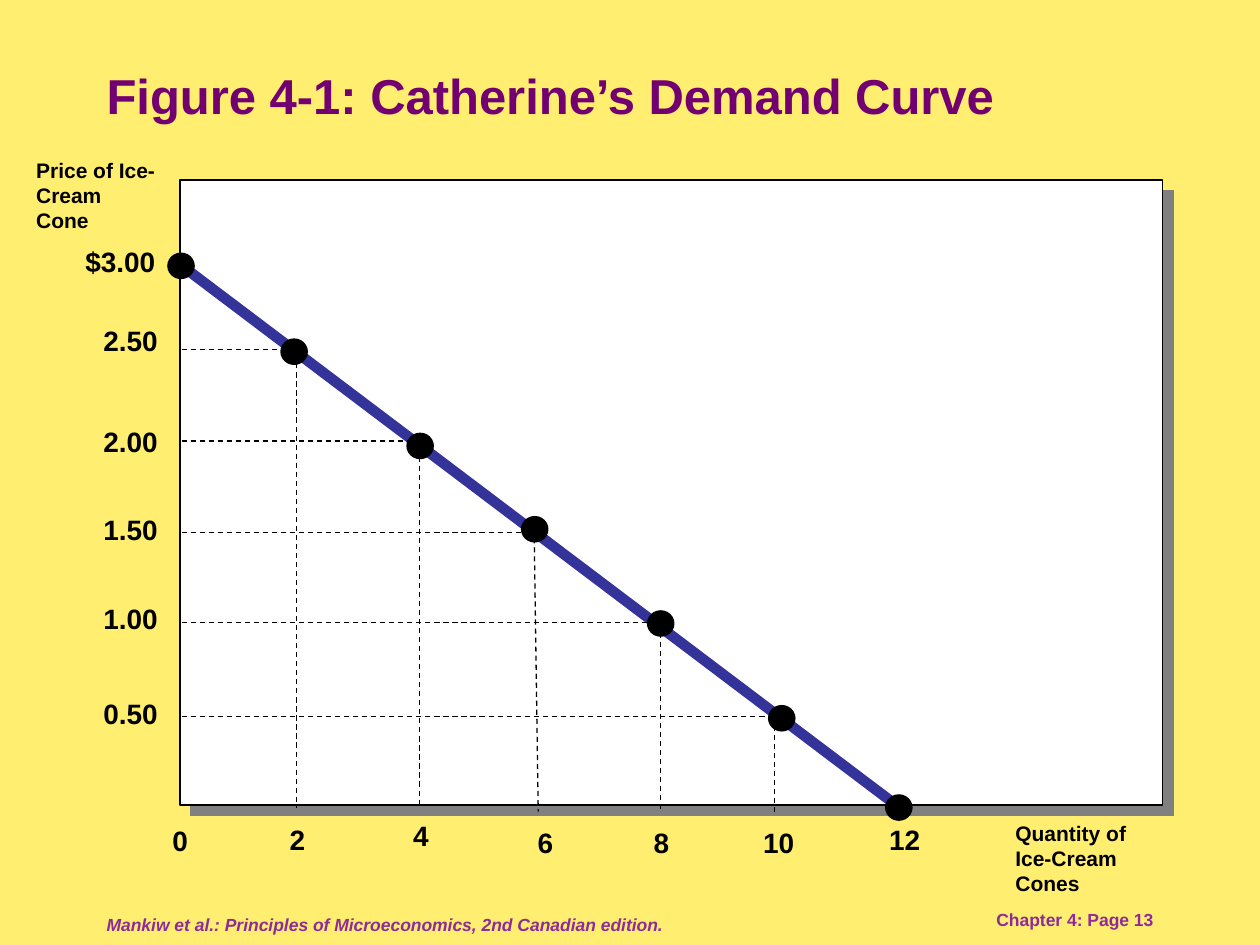
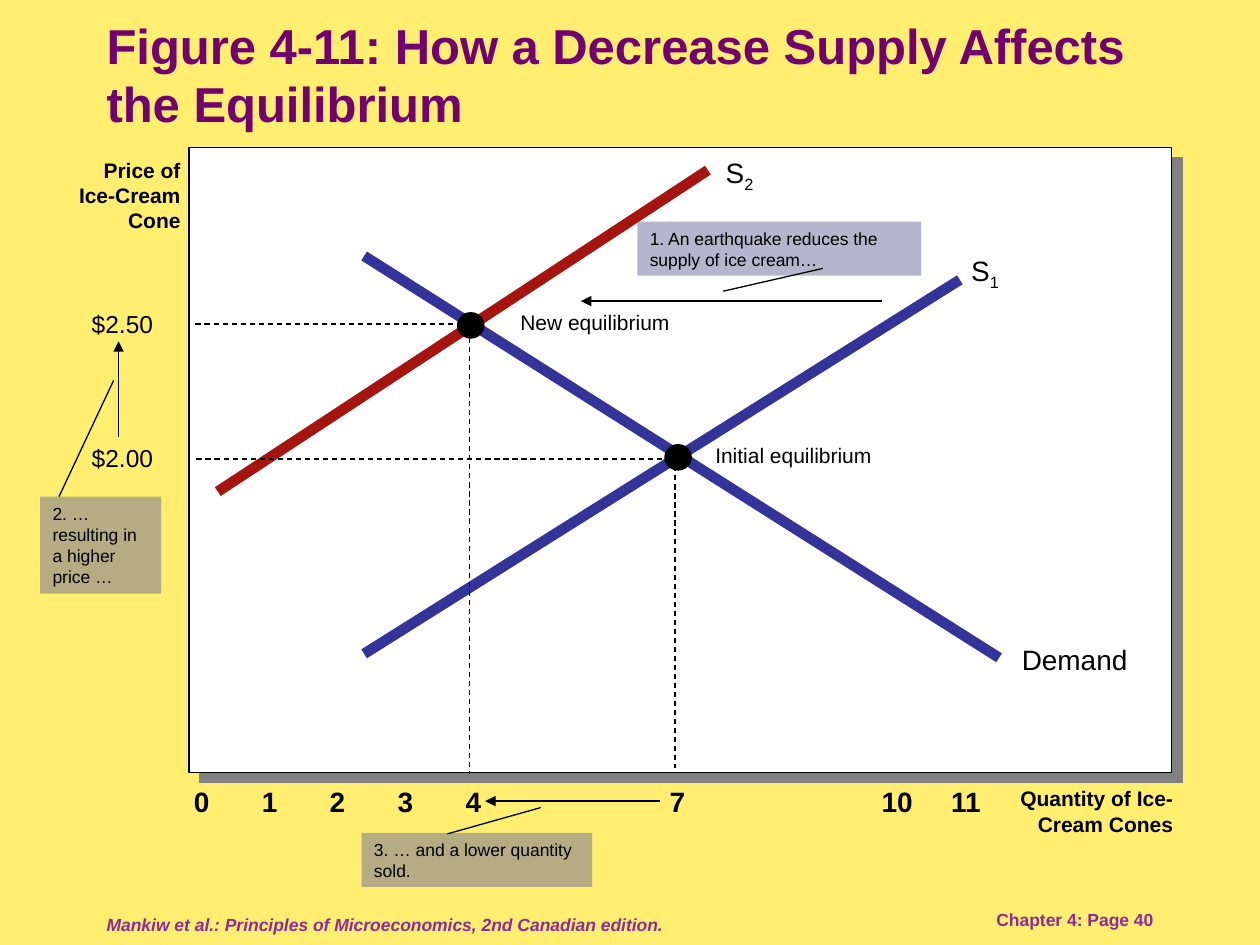
from lxml import etree
from pptx import Presentation
from pptx import util as u
from pptx.dml.color import RGBColor
from pptx.enum import dml, shapes, text
from pptx.oxml import ns

CREAM = RGBColor(0xFF, 0xEE, 0x70)
PLUM = RGBColor(0x72, 0x00, 0x70)
MAUVE = RGBColor(0x8F, 0x2B, 0x99)
BLACK = RGBColor(0, 0, 0)
WHITE = RGBColor(0xFF, 0xFF, 0xFF)
BLUE = RGBColor(0x33, 0x33, 0x99)
RED = RGBColor(0xA6, 0x14, 0x10)
SLATE = RGBColor(0x66, 0x66, 0x99)
GREY = RGBColor(0x80, 0x80, 0x80)
LEFT, RIGHT = text.PP_ALIGN.LEFT, text.PP_ALIGN.RIGHT
TOP, MID = text.MSO_ANCHOR.TOP, text.MSO_ANCHOR.MIDDLE
DOT_W, DOT_H = 0.53, 0.51


def write(page, words, box, size, color=BLACK, bold=False, italic=False,
          align=LEFT, anchor=TOP):
    """Add a text box; what follows "_" in words is set as a subscript."""
    label = page.shapes.add_textbox(*map(u.Cm, box))
    frame = label.text_frame
    frame.word_wrap = True
    frame.vertical_anchor = anchor
    para = frame.paragraphs[0]
    para.alignment = align
    for part, base in zip(words.split("_"), (None, "-25000")):
        run = para.add_run()
        run.text = part
        font = run.font
        font.name, font.size = "Arial", u.Pt(size)
        font.bold, font.italic = bold, italic
        font.color.rgb = color
        if base:
            run._r.get_or_add_rPr().set("baseline", base)
    return label


def draw(page, start, end, color=BLACK, width=0.75, dash=False, arrow=False):
    """Add a straight line, with points in cm."""
    line = page.shapes.add_connector(
        shapes.MSO_CONNECTOR.STRAIGHT, *map(u.Cm, (*start, *end)))
    line.line.color.rgb = color
    line.line.width = u.Pt(width)
    if dash:
        line.line.dash_style = dml.MSO_LINE.DASH
    if arrow:
        etree.SubElement(line.line._get_or_add_ln(), ns.qn("a:tailEnd"),
                         type="triangle")
    etree.SubElement(line._element.spPr, ns.qn("a:effectLst"))


deck = Presentation()
deck.slide_width, deck.slide_height = u.Cm(25.4), u.Cm(19.05)
fill = deck.slide_master.background.fill
fill.solid()
fill.fore_color.rgb = CREAM

# Shared frame: title, footers and the white plot panel with its shadow
pages = []
for title, title_y, number, panel_x, panel_y in (
        ("Figure 4-1: Catherine’s Demand Curve", 1.07, 13, 3.63, 3.63),
        ("Figure 4-11: How a Decrease Supply Affects the Equilibrium",
         0.64, 40, 3.81, 2.97)):
    page = deck.slides.add_slide(deck.slide_layouts[6])
    pages.append(page)
    write(page, "Mankiw et al.: Principles of Microeconomics, 2nd Canadian edition.",
          (1.9, 18.21, 15.04, 0.84), 10, MAUVE, bold=True, italic=True, anchor=MID)
    write(page, f"Chapter 4: Page {number}", (18.21, 18.21, 5.29, 0.64), 10,
          MAUVE, bold=True, align=RIGHT)
    write(page, title, (1.9, title_y, 21.59, 1.7), 28, PLUM, bold=True, anchor=MID)
    panel = page.shapes.add_shape(
        shapes.MSO_SHAPE.RECTANGLE, *map(u.Cm, (panel_x, panel_y, 19.81, 12.6)))
    panel.fill.solid()
    panel.fill.fore_color.rgb = WHITE
    panel.line.color.rgb = BLACK
    panel.line.width = u.Pt(0.75)
    panel.shadow.inherit = False
    effects = panel._element.spPr.find(ns.qn("a:effectLst"))
    shade = etree.SubElement(effects, ns.qn("a:outerShdw"), dist=str(u.Pt(8.5)),
                             dir="2700000", algn="ctr", rotWithShape="0")
    etree.SubElement(shade, ns.qn("a:srgbClr"), val=str(GREY))
demand, shift = pages

# Slide 1: one demand curve
write(demand, "Price of Ice-Cream Cone", (0.48, 3.05, 2.97, 1.78), 12, bold=True)
write(demand, "Quantity of Ice-Cream Cones", (20.22, 16.41, 3.43, 1.78), 12,
      bold=True)
draw(demand, (3.63, 5.33), (18.24, 16.36), BLUE, 6)

# Guides: end of the level line, then top and foot of the drop line
for end, level, top, foot in (
        (5.97, 7.04, (5.97, 6.96), (5.97, 16.28)),
        (8.51, 8.89, (8.46, 9.02), (8.46, 16.23)),
        (10.85, 10.74, (10.77, 10.85), (10.85, 16.36)),
        (13.39, 12.55, (13.31, 12.75), (13.31, 16.36)),
        (15.72, 14.45, (15.62, 14.45), (15.62, 16.36))):
    draw(demand, (3.66, level), (end, level), dash=True)
    draw(demand, top, foot, dash=True)

for price, right, y in (
        ("$3.00", 3.38, 4.8), ("2.50", 3.43, 6.4), ("2.00", 3.43, 8.43),
        ("1.50", 3.43, 10.21), ("1.00", 3.43, 12.01), ("0.50", 3.43, 13.92),
        ("0", 4.04, 16.48), ("2", 6.4, 16.46), ("4", 8.89, 16.38),
        ("6", 11.4, 16.51), ("8", 13.74, 16.51), ("10", 16.26, 16.51),
        ("12", 18.8, 16.46)):
    write(demand, price, (right - 3.3, y, 3.3, 0.94), 16, bold=True, align=RIGHT)

# Slide 2: supply shifts left
write(shift, "Price of Ice-Cream Cone", (1.02, 3.05, 2.87, 1.78), 12, bold=True,
      align=RIGHT)
write(shift, "Quantity of Ice-Cream Cones", (19.84, 15.72, 4.06, 1.27), 12,
      bold=True, align=RIGHT)
for count in (0, 1, 2, 3, 4, 7, 10, 11):
    right = 4.47 + 1.37 * count + (0.48 if count > 9 else 0)
    write(shift, str(count), (right - 1.5, 15.7, 1.5, 0.94), 16, bold=True,
          align=RIGHT)

for start, end, color in (((7.34, 5.16), (20.14, 13.26), BLUE),
                          ((7.34, 13.18), (19.35, 5.64), BLUE),
                          ((4.39, 9.91), (14.27, 3.43), RED)):
    draw(shift, start, end, color, 6)
for start, end in (((3.96, 9.25), (13.41, 9.25)), ((13.61, 9.4), (13.61, 15.49)),
                   ((3.94, 6.53), (9.53, 6.53)), ((9.47, 6.63), (9.47, 15.6))):
    draw(shift, start, end, dash=True)

for words, x, y, width, size in (
        ("Demand", 20.35, 12.83, 2.79, 16), ("S_1", 19.33, 4.98, 2.97, 16),
        ("S_2", 14.38, 3.02, 1.47, 16), ("$2.00", 1.6, 8.81, 2.26, 14),
        ("$2.50", 1.6, 6.1, 2.26, 14), ("New equilibrium", 10.24, 6.12, 3.68, 12),
        ("Initial equilibrium", 14.17, 8.79, 4.57, 12)):
    write(shift, words, (x, y, width, 0.9), size)

# Each step: its note, the leader from the note, and the arrow of change
for words, box, leader, change in (
        ("1. An earthquake reduces the supply of ice cream…",
         (12.85, 4.47, 5.72, 1.09),
         ((16.59, 5.41), (14.58, 5.87)), ((17.78, 6.07), (11.71, 6.07))),
        ("2. … resulting in a higher price …", (0.81, 10.01, 2.44, 1.96),
         ((1.19, 10.01), (2.29, 7.67)), ((2.39, 8.81), (2.39, 6.88))),
        ("3. … and a lower quantity sold.", (7.29, 16.79, 4.65, 1.09),
         ((9.02, 16.81), (10.9, 16.28)), ((13.31, 16.15), (9.78, 16.15)))):
    note = write(shift, words, box, 10)
    note.fill.solid()
    note.fill.fore_color.rgb = SLATE
    tint = note._element.spPr.find(".//" + ns.qn("a:srgbClr"))
    etree.SubElement(tint, ns.qn("a:alpha"), val="48000")
    draw(shift, *leader)
    draw(shift, *change, arrow=True)

# Points on the curves of both slides
for page, spots in (
        (demand, ((3.65, 5.36), (5.93, 7.09), (8.47, 8.99), (10.78, 10.67),
                  (13.32, 12.57), (15.76, 14.48), (18.12, 16.28))),
        (shift, ((13.67, 9.22), (9.49, 6.56)))):
    for x, y in spots:
        dot = page.shapes.add_shape(
            shapes.MSO_SHAPE.OVAL, u.Cm(x - DOT_W / 2), u.Cm(y - DOT_H / 2),
            u.Cm(DOT_W), u.Cm(DOT_H))
        dot.fill.solid()
        dot.fill.fore_color.rgb = BLACK
        dot.line.color.rgb = BLACK
        dot.line.width = u.Pt(0.75)
        dot.shadow.inherit = False

deck.save("out.pptx")
